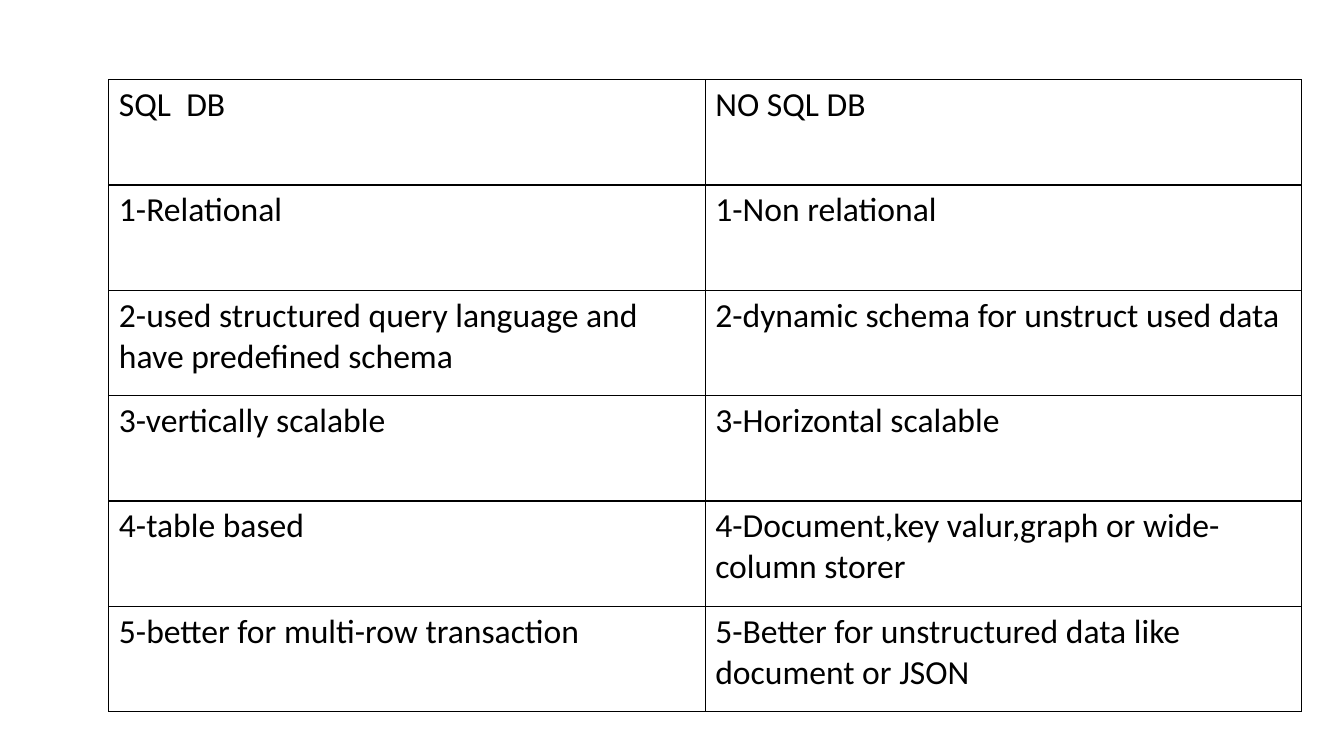
from lxml.etree import SubElement
from pptx import Presentation
from pptx.dml.color import RGBColor
from pptx.oxml.ns import qn
from pptx.util import Inches, Pt

BLACK = RGBColor(0x00, 0x00, 0x00)
WHITE = RGBColor(0xFF, 0xFF, 0xFF)
FONT = "Calibri"
BLANK_LAYOUT = 6

COMPARISON = [
    ("SQL  DB", "NO SQL DB"),
    ("1-Relational", "1-Non relational"),
    ("2-used structured query language and have predefined schema",
     "2-dynamic schema for unstruct used data "),
    ("3-vertically scalable", "3-Horizontal scalable"),
    ("4-table based", "4-Document,key valur,graph or wide-column storer"),
    ("5-better for multi-row transaction",
     "5-Better for unstructured data like document or JSON"),
]


def add_borders(cell, color, width):
    """Draw a solid line on all four sides of a cell."""
    properties = cell._tc.get_or_add_tcPr()
    for side in ("a:lnL", "a:lnR", "a:lnT", "a:lnB"):
        line = SubElement(properties, qn(side), w=str(width))
        fill = SubElement(line, qn("a:solidFill"))
        SubElement(fill, qn("a:srgbClr"), val=str(color))


def format_cell(cell, text):
    # Borders come before the fill in the cell properties
    add_borders(cell, BLACK, Pt(1))
    cell.fill.solid()
    cell.fill.fore_color.rgb = WHITE

    cell.text_frame.text = text
    font = cell.text_frame.paragraphs[0].runs[0].font
    font.name = FONT
    font.size = Pt(24)
    font.bold = False
    font.color.rgb = BLACK


def add_comparison_table(slide, rows, left, top, width, height):
    table = slide.shapes.add_table(
        len(rows), len(rows[0]), left, top, width, height).table
    table.first_row = False
    table.horz_banding = False
    for row_index, texts in enumerate(rows):
        for column_index, text in enumerate(texts):
            format_cell(table.cell(row_index, column_index), text)


def main():
    presentation = Presentation()
    presentation.slide_width = Inches(13.33)
    presentation.slide_height = Inches(7.5)
    slide = presentation.slides.add_slide(
        presentation.slide_layouts[BLANK_LAYOUT])

    # SQL against NoSQL
    add_comparison_table(slide, COMPARISON, Inches(1.08), Inches(0.79),
                         Inches(11.83), Inches(6.27))

    presentation.save("out.pptx")


main()
